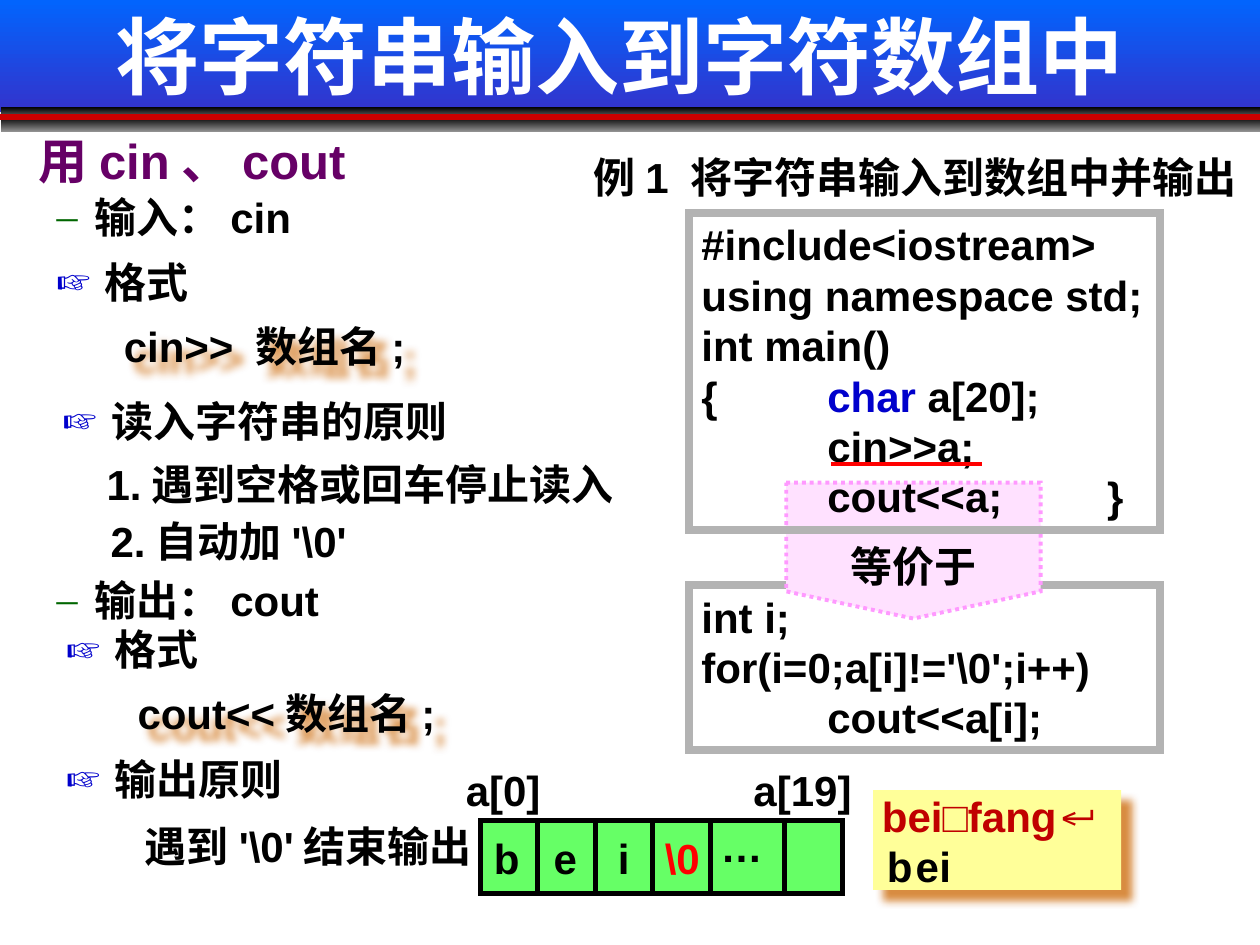
from lxml import etree
from pptx import Presentation
from pptx.dml.color import RGBColor
from pptx.enum.dml import MSO_LINE
from pptx.enum.shapes import MSO_CONNECTOR, MSO_SHAPE
from pptx.enum.text import MSO_ANCHOR, PP_ALIGN
from pptx.oxml.ns import qn
from pptx.util import Cm, Pt

RECT = MSO_SHAPE.RECTANGLE
OFFPAGE = MSO_SHAPE.FLOWCHART_OFFPAGE_CONNECTOR
STRAIGHT = MSO_CONNECTOR.STRAIGHT
DOTTED = MSO_LINE.ROUND_DOT
LEFT, CENTER = PP_ALIGN.LEFT, PP_ALIGN.CENTER
TOP, MIDDLE, BOTTOM = MSO_ANCHOR.TOP, MSO_ANCHOR.MIDDLE, MSO_ANCHOR.BOTTOM

LATIN, CJK, SERIF = "Arial", "Noto Sans CJK SC", "Times New Roman"

BLACK = RGBColor(0x00, 0x00, 0x00)
WHITE = RGBColor(0xFF, 0xFF, 0xFF)
GRAY = RGBColor(0xB3, 0xB3, 0xB3)
BAR_GRAY = RGBColor(0x92, 0x92, 0x92)
BAND_TOP = RGBColor(0x00, 0x66, 0xFF)
BAND_BOTTOM = RGBColor(0x33, 0x33, 0xCC)
RULE_RED = RGBColor(0xCC, 0x00, 0x00)
RED = RGBColor(0xFF, 0x00, 0x00)
INPUT_RED = RGBColor(0xC0, 0x00, 0x00)
PURPLE = RGBColor(0x66, 0x00, 0x66)
BLUE = RGBColor(0x00, 0x00, 0xCC)
DARK_GREEN = RGBColor(0x00, 0x66, 0x00)
CELL_GREEN = RGBColor(0x66, 0xFF, 0x66)
PALE_PINK = RGBColor(0xFF, 0xE1, 0xFF)
PINK = RGBColor(0xFF, 0x99, 0xFF)
YELLOW = RGBColor(0xFF, 0xFF, 0x99)
ORANGE = RGBColor(0xCC, 0x66, 0x00)
SHADOW_GRAY = RGBColor(0x80, 0x80, 0x80)

BODY = {"size": Pt(24), "bold": True, "name": LATIN}
DASH, HAND = ("–", DARK_GREEN, 0.57), ("☞", BLUE, 0.97)


def add_shadow(shape, color, distance):
    """Blurred shadow towards the lower right; distance in points."""
    shape.shadow.inherit = False
    effects = shape._element.spPr.find(qn("a:effectLst"))
    outer = etree.SubElement(effects, qn("a:outerShdw"), blurRad=str(Pt(5)),
                             dist=str(Pt(distance)), dir="2700000")
    rgb = etree.SubElement(outer, qn("a:srgbClr"), val=str(color))
    etree.SubElement(rgb, qn("a:alpha"), val="75000")


def add_bullet(paragraph, char, color, indent):
    props = paragraph._p.get_or_add_pPr()
    props.set("marL", str(Cm(indent)))
    props.set("indent", str(-Cm(indent)))
    bullet_color = etree.SubElement(props, qn("a:buClr"))
    etree.SubElement(bullet_color, qn("a:srgbClr"), val=str(color))
    etree.SubElement(props, qn("a:buFont"), typeface=SERIF)
    etree.SubElement(props, qn("a:buChar"), char=char)


def add_tabs(paragraph, *positions):
    tabs = etree.SubElement(paragraph._p.get_or_add_pPr(), qn("a:tabLst"))
    for position in positions:
        etree.SubElement(tabs, qn("a:tab"), pos=str(Cm(position)), algn="l")


def write_runs(paragraph, runs):
    """Each run is a text, or a text with the format values that differ."""
    for item in [runs] if isinstance(runs, str) else runs:
        text, changes = (item, {}) if isinstance(item, str) else item
        values = {**BODY, **changes}
        run = paragraph.add_run()
        run.text = text
        run.font.color.rgb = values.pop("color", BLACK)
        for name, value in values.items():
            setattr(run.font, name, value)
        etree.SubElement(run._r.get_or_add_rPr(), qn("a:ea"), typeface=CJK)


def add_text(slide, box, runs, align=LEFT, anchor=TOP, bullet=None):
    text_box = slide.shapes.add_textbox(*map(Cm, box))
    frame = text_box.text_frame
    frame.word_wrap, frame.vertical_anchor = True, anchor
    paragraph = frame.paragraphs[0]
    paragraph.alignment = align
    if bullet:
        add_bullet(paragraph, *bullet)
    write_runs(paragraph, runs)
    return text_box


def add_block(slide, box, fill=None, line=None, width=0, kind=RECT):
    """A filled and outlined shape; a pair of colours gives a gradient."""
    block = slide.shapes.add_shape(kind, *map(Cm, box))
    block.shadow.inherit = False
    if isinstance(fill, list):
        block.fill.gradient()
        block.fill.gradient_angle = 270
        for stop, color in zip(block.fill.gradient_stops, fill):
            stop.color.rgb = color
    elif fill is not None:
        block.fill.solid()
        block.fill.fore_color.rgb = fill
    else:
        block.fill.background()
    if line is not None:
        block.line.color.rgb = line
        block.line.width = Pt(width)
        outline = block._element.spPr.find(qn("a:ln"))
        etree.SubElement(outline, qn("a:miter"), lim="800000")
    else:
        block.line.fill.background()
    return block


def add_line(slide, x1, y1, x2, y2, color, width):
    line = slide.shapes.add_connector(STRAIGHT, *map(Cm, (x1, y1, x2, y2)))
    line.line.color.rgb = color
    line.line.width = Pt(width)
    etree.SubElement(line._element.spPr, qn("a:effectLst"))


def add_code(slide, box, lines, fill=None):
    frame = add_block(slide, box, fill, GRAY, 4.5).text_frame
    frame.vertical_anchor = TOP
    for index, runs in enumerate(lines):
        paragraph = frame.add_paragraph() if index else frame.paragraphs[0]
        paragraph.alignment = LEFT
        add_tabs(paragraph, 2.54, 8.18)
        write_runs(paragraph, runs)


def add_array(slide):
    """The cells of a[20] with their contents."""
    left, top, height, step = 9.68, 16.54, 1.47, 1.16
    add_block(slide, (left, top, 7.31, height), CELL_GREEN, BLACK, 3)
    for x in [left + step * n for n in range(1, 5)] + [15.82]:
        add_line(slide, x, top, x, top + height, BLACK, 3)
    add_text(slide, (13.87, 16.41, 2.16, 1.27), "…", CENTER)
    for index, char in enumerate(["b", "e", "i", ("\\0", {"color": RED})]):
        add_text(slide, (9.58 + 1.18 * index, 16.66, 1.27, 1.27), [char], CENTER)


def add_header(slide):
    band = add_block(slide, (0, -0.08, 25.4, 2.34), [BAND_TOP, BAND_BOTTOM])
    add_shadow(band, SHADOW_GRAY, 3)
    for top in (2.16, 2.36):
        add_block(slide, (0.03, top, 25.37, 0.3), [BLACK, BAR_GRAY])
    add_line(slide, 0, 2.36, 25.4, 2.36, RULE_RED, 3)
    add_text(slide, (1.7, -0.48, 21.59, 3.18),
             [("将字符串输入到字符数组中", {"size": Pt(48), "color": WHITE})],
             CENTER, MIDDLE)


def add_outline(slide):
    cjk = {"name": CJK}
    add_text(slide, (0.3, 2.51, 11, 1.45),
             [(" 用cin、cout", {"size": Pt(28), "color": PURPLE})])
    # Input and output headings
    for top, word, stream in [(3.73, "输入", "：cin"), (11.46, "输出", "：cout")]:
        add_text(slide, (0.89, top, 9.32, 1.27), [" ", (word, cjk), stream],
                 bullet=DASH)
    # Pointed items
    for left, top, item in [(0.89, 5.05, "格式"), (1.02, 7.85, "读入字符串的原则"),
                            (1.09, 12.45, "格式"), (1.09, 15.06, "输出原则")]:
        add_text(slide, (left, top, 10.31, 1.27), [(item, cjk)], bullet=HAND)
    # Statement forms
    for left, top, width, form in [(2.06, 6.32, 6.55, "cin>> 数组名;"),
                                   (2.46, 13.72, 6.63, "cout<<数组名;")]:
        statement = add_text(slide, (left, top, width, 1.3), form, CENTER, MIDDLE)
        add_shadow(statement, ORANGE, 8.5)
    # Rules
    add_text(slide, (1.9, 9.12, 11.5, 1.45), "1.遇到空格或回车停止读入")
    add_text(slide, (1.98, 10.26, 7.44, 1.27),
             ["2.", ("自动加", {"name": SERIF}), "'\\0'"])
    add_text(slide, (2.67, 16.41, 7.29, 1.27),
             [("遇到", cjk), "'\\0'", ("结束输出", cjk)])


def add_equivalence(slide):
    add_code(slide, (13.89, 11.79, 9.5, 3.33),
             ["int i;", "for(i=0;a[i]!='\\0';i++)", "\tcout<<a[i];"], WHITE)
    arrow = add_block(slide, (15.85, 9.73, 5.13, 2.74), PALE_PINK, PINK, 2.25, OFFPAGE)
    arrow.line.dash_style = DOTTED
    frame = arrow.text_frame
    frame.vertical_anchor, frame.margin_bottom = BOTTOM, 0
    frame.paragraphs[0].alignment = CENTER
    write_runs(frame.paragraphs[0], [("等价于", {"name": CJK})])


def add_example(slide):
    add_text(slide, (11.71, 2.92, 13.49, 1.27),
             [("例", {"name": CJK}), "1 ",
              ("将字符串输入到数组中并输出", {"name": CJK})])
    add_code(slide, (13.89, 4.29, 9.5, 6.4),
             ["#include<iostream>", "using namespace std;", "int main()",
              ["{\t", ("char", {"color": BLUE}), " a[20];"],
              "\tcin>>a;", "\tcout<<a;\t}"])
    add_line(slide, 16.76, 9.35, 19.79, 9.35, RED, 2.25)


def add_console(slide):
    screen = add_block(slide, (17.6, 15.93, 5, 2.01), YELLOW)
    add_shadow(screen, ORANGE, 8.5)
    add_text(slide, (17.53, 15.82, 5.66, 1.27),
             [("bei□fang↵", {"color": INPUT_RED})])
    for left, char in [(17.63, "b"), (18.21, "e"), (18.69, "i")]:
        add_text(slide, (left, 16.81, 1.7, 1.27), char)


def main():
    deck = Presentation()
    deck.slide_width, deck.slide_height = Cm(25.4), Cm(19.05)
    slide = deck.slides.add_slide(deck.slide_layouts[6])
    add_equivalence(slide)
    # Index labels above the array
    for left, label in [(9.14, "a[0]"), (14.94, "a[19]")]:
        add_text(slide, (left, 15.29, 2.97, 1.27), label)
    add_array(slide)
    add_outline(slide)
    add_example(slide)
    add_console(slide)
    add_header(slide)
    deck.save("out.pptx")


if __name__ == "__main__":
    main()
